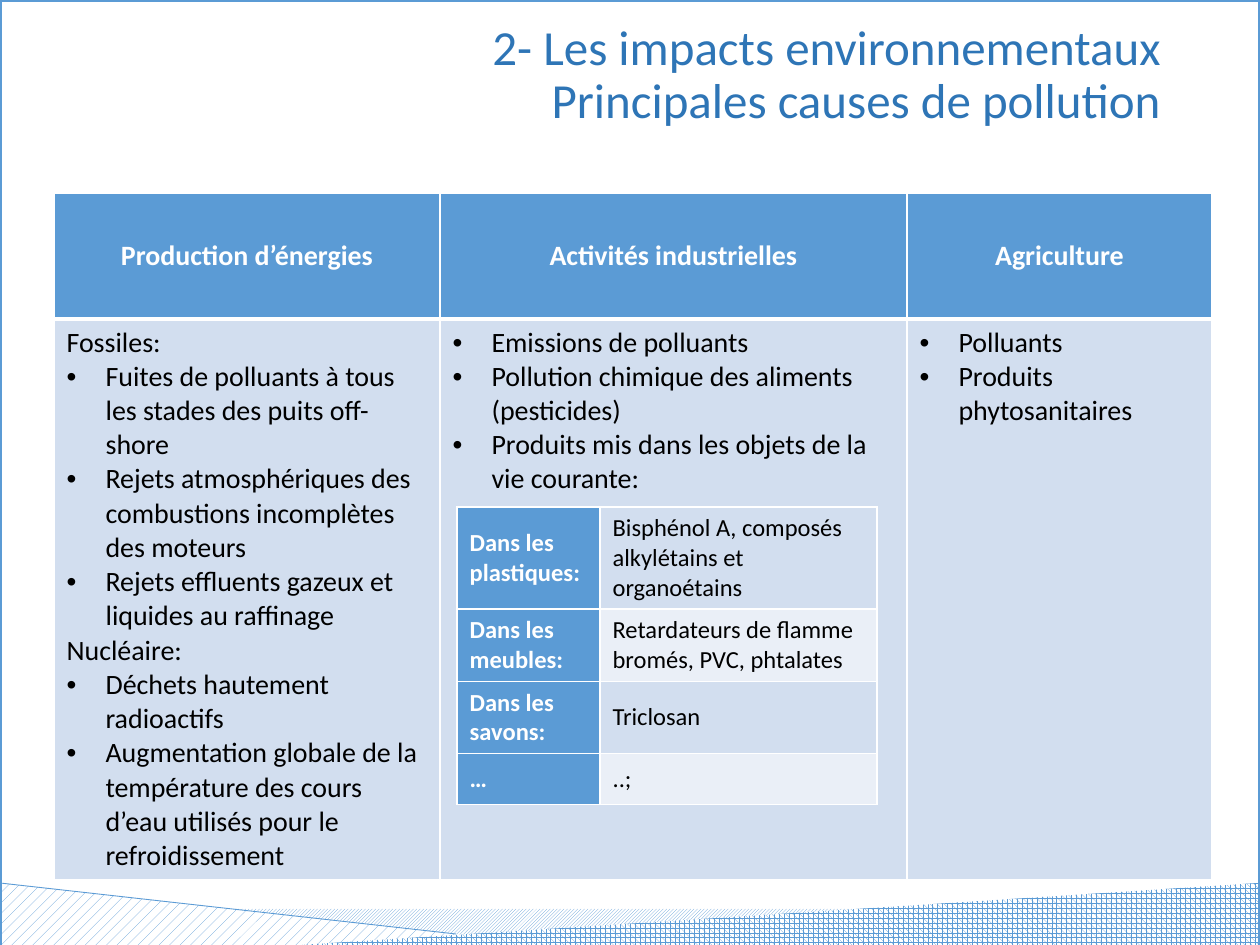
import pptx
import pptx.util
from lxml import etree
from pptx.dml.color import RGBColor
from pptx.enum.dml import MSO_PATTERN
from pptx.enum.shapes import MSO_CONNECTOR, MSO_SHAPE
from pptx.enum.text import MSO_ANCHOR, MSO_AUTO_SIZE, PP_ALIGN
from pptx.oxml.ns import qn

# Content: a leading "• " marks a bulleted paragraph
TITLE = "2- Les impacts environnementaux\vPrincipales causes de pollution"
HEADERS = ["Production d’énergies", "Activités industrielles", "Agriculture"]
CAUSES = [
    ["Fossiles:",
     "• Fuites de polluants à tous les stades des puits off-shore",
     "• Rejets atmosphériques des combustions incomplètes des moteurs",
     "• Rejets effluents gazeux et liquides au raffinage",
     "Nucléaire:",
     "• Déchets hautement radioactifs",
     "• Augmentation globale de la température des cours d’eau utilisés "
     "pour le refroidissement"],
    ["• Emissions de polluants",
     "• Pollution chimique des aliments (pesticides)",
     "• Produits mis dans les objets de la vie courante:"],
    ["• Polluants", "• Produits phytosanitaires"],
]
OBJECTS = [
    ("Dans les plastiques:", "Bisphénol A, composés alkylétains et organoétains"),
    ("Dans les meubles:", "Retardateurs de flamme bromés, PVC, phtalates"),
    ("Dans les savons:", "Triclosan"),
    ("…", "..;"),
]
COLORS = {"blue": "5B9BD5", "title": "2E75B6", "band1": "D2DEEF",
          "band2": "EAEFF7", "white": "FFFFFF", "black": "000000"}
FONT = "Calibri"

# Geometry in px, 126 to the inch
PX = 914400 / 126
CAUSE_COLS, CAUSE_ROWS = [386, 467, 305], [126, 559]
OBJECT_COLS, OBJECT_ROWS = [143, 277], [102, 72, 72, 51]
INDENT = 39
WAVES = [
    (MSO_PATTERN.PERCENT_20, [(0, 883), (551, 945), (539, 948), (0, 948)]),
    (MSO_PATTERN.SPHERE, [(286, 946), (1259, 883), (1260, 948), (276, 948)]),
]


def emu(*lengths):
    return [round(v * PX) for v in lengths]


def rgb(name):
    return RGBColor.from_string(COLORS[name])


def style_runs(p, size, color, bold=False):
    for r in p.runs:
        r.font.name, r.font.size = FONT, pptx.util.Pt(size)
        r.font.bold, r.font.color.rgb = bold, rgb(color)


def pattern_fill(sp, pattern):
    sp.shadow.inherit = False
    sp.fill.patterned()
    sp.fill.pattern = pattern
    sp.fill.fore_color.rgb, sp.fill.back_color.rgb = rgb("blue"), rgb("white")
    sp.line.fill.background()


def add_bullet(p):
    pPr = p._p.get_or_add_pPr()
    pPr.set("marL", str(emu(INDENT)[0]))
    pPr.set("indent", str(-emu(INDENT)[0]))
    etree.SubElement(pPr, qn("a:buFont"), typeface="Arial")
    etree.SubElement(pPr, qn("a:buChar"), char="•")


def set_borders(cell, top=1, bottom=1):
    tcPr = cell._tc.get_or_add_tcPr()
    for i, (side, width) in enumerate([("L", 1), ("R", 1), ("T", top), ("B", bottom)]):
        ln = etree.Element(qn(f"a:ln{side}"), w=str(pptx.util.Pt(width)))
        fill = etree.SubElement(ln, qn("a:solidFill"))
        etree.SubElement(fill, qn("a:srgbClr"), val=COLORS["white"])
        tcPr.insert(i, ln)


def fill_cell(cell, lines, fill, size, color, bold=False, align=PP_ALIGN.LEFT,
              anchor=MSO_ANCHOR.MIDDLE, top=1, bottom=1):
    cell.fill.solid()
    cell.fill.fore_color.rgb = rgb(fill)
    cell.vertical_anchor = anchor
    set_borders(cell, top, bottom)
    cell.text_frame.text = "\n".join(line.removeprefix("• ") for line in lines)
    for p, line in zip(cell.text_frame.paragraphs, lines):
        p.alignment = align
        if line.startswith("• "):
            add_bullet(p)
        style_runs(p, size, color, bold)


def add_grid(s, left, top, cols, rows):
    table = s.shapes.add_table(len(rows), len(cols),
                               *emu(left, top, sum(cols), sum(rows))).table
    for column, width in zip(table.columns, emu(*cols)):
        column.width = width
    for row, height in zip(table.rows, emu(*rows)):
        row.height = height
    return table


def main():
    prs = pptx.Presentation()
    prs.slide_width, prs.slide_height = emu(1260, 945)
    s = prs.slides.add_slide(prs.slide_layouts[5])

    # Patterned footer, its edge line and the page frame
    band = s.shapes.add_shape(MSO_SHAPE.RECTANGLE, *emu(164, 909, 827, 40))
    pattern_fill(band, MSO_PATTERN.LIGHT_UPWARD_DIAGONAL)
    for pattern, points in WAVES:
        builder = s.shapes.build_freeform(*points[0], scale=PX)
        builder.add_line_segments(points[1:], close=True)
        pattern_fill(builder.convert_to_shape(), pattern)
    edge = s.shapes.add_connector(MSO_CONNECTOR.STRAIGHT, *emu(0, 883, 456, 934))
    edge.line.color.rgb, edge.line.width = rgb("blue"), pptx.util.Pt(0.5)
    etree.SubElement(edge._element.spPr, qn("a:effectLst"))
    frame = s.shapes.add_shape(MSO_SHAPE.RECTANGLE, *emu(0, 0, 1260, 948))
    frame.shadow.inherit = False
    frame.fill.background()
    frame.line.color.rgb, frame.line.width = rgb("blue"), pptx.util.Pt(2.25)

    # Title
    title = s.shapes.title
    title.left, title.top, title.width, title.height = emu(87, 2, 1086, 149)
    tf = title.text_frame
    tf.text = TITLE
    tf.word_wrap, tf.auto_size = True, MSO_AUTO_SIZE.NONE
    tf.vertical_anchor = MSO_ANCHOR.MIDDLE
    p = tf.paragraphs[0]
    p.alignment, p.line_spacing = PP_ALIGN.RIGHT, 0.9
    style_runs(p, 28, "title")

    # Causes of pollution
    causes = add_grid(s, 54, 193, CAUSE_COLS, CAUSE_ROWS)
    for c, (header, lines) in enumerate(zip(HEADERS, CAUSES)):
        fill_cell(causes.cell(0, c), [header], "blue", 16, "white", bold=True,
                  align=PP_ALIGN.CENTER, bottom=3)
        fill_cell(causes.cell(1, c), lines, "band1", 16, "black", top=3,
                  anchor=MSO_ANCHOR.TOP if c else MSO_ANCHOR.MIDDLE)

    # Pollutants in everyday objects
    objects = add_grid(s, 457, 507, OBJECT_COLS, OBJECT_ROWS)
    for i, (place, pollutants) in enumerate(OBJECTS):
        fill_cell(objects.cell(i, 0), [place], "blue", 14, "white", bold=True)
        fill_cell(objects.cell(i, 1), [pollutants], ("band1", "band2")[i % 2], 14, "black")

    prs.save("out.pptx")


if __name__ == "__main__":
    main()
